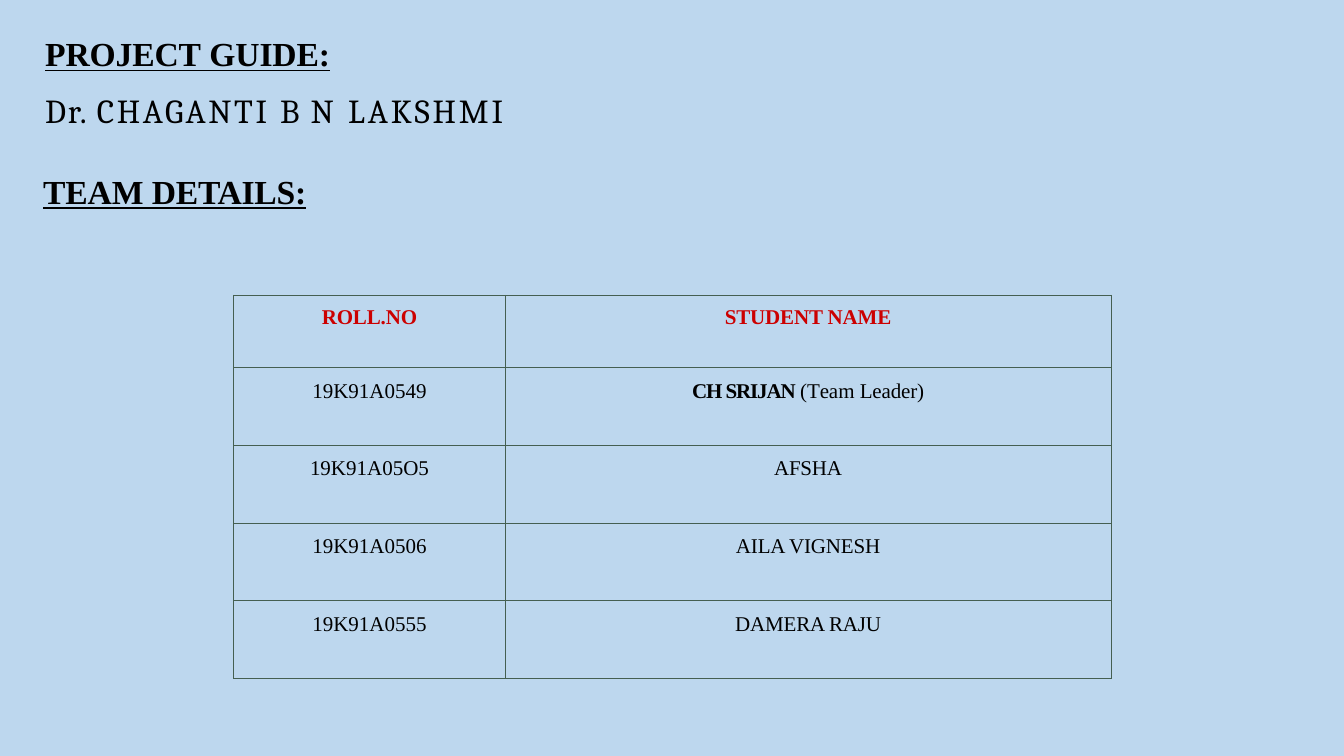
from dataclasses import dataclass

from pptx import Presentation
from pptx.dml.color import RGBColor
from pptx.enum.text import MSO_AUTO_SIZE, PP_ALIGN
from pptx.oxml import parse_xml
from pptx.oxml.ns import nsdecls
from pptx.util import Inches, Pt


@dataclass(frozen=True)
class Theme:
    background: str = "BDD7EE"
    ink: str = "000000"
    header: str = "CC0000"
    border: str = "455F51"
    border_width: float = 0.75
    serif: str = "Times New Roman"
    name_font: str = "Cambria"
    heading_size: int = 24
    table_size: int = 15


THEME = Theme()
SLIDE_COLUMNS, SLIDE_ROWS = 133.3, 75  # grid of tenth-inch cells

GUIDE_NAME = [("Dr. ", 1.3), ("CHAGANTI ", 1.9), ("B ", 1.4), ("N ", 2.4), ("LAKSHMI", 2.1)]
HEADERS = ["ROLL.NO", "STUDENT NAME"]
LEADER = [("(", 0), ("T", -1.1), ("ea", -0.1), ("m", 0), (" Leader)", -0.1)]
TEAM = [
    ("19K91A0549", "CH SRIJAN ", -0.8),
    ("19K91A05O5", "AFSHA", -0.2),
    ("19K91A0506", "AILA VIGNESH", -0.1),
    ("19K91A0555", "DAMERA RAJU", -0.1),
]


def grid(cells):
    return Inches(round(cells / 10, 2))


def add_text(paragraph, text, spacing=0.0, size=THEME.table_size, font=THEME.serif,
             color=THEME.ink, bold=False, underline=False):
    """Append a run; spacing is the letter spacing in points."""
    run = paragraph.add_run()
    run.text = text
    run.font.size = Pt(size)
    run.font.name = font
    run.font.bold = bold
    run.font.underline = underline
    run.font.color.rgb = RGBColor.from_string(color)
    run.font._element.set("spc", str(round(spacing * 100)))


def add_line(paragraph, runs, space_before, indent=0.0, **text_format):
    """Fill a heading paragraph with (text, spacing) runs."""
    paragraph.space_before = Pt(space_before)
    paragraph._p.get_or_add_pPr().set("marL", str(Inches(indent)))
    for text, spacing in runs:
        add_text(paragraph, text, spacing, size=THEME.heading_size, **text_format)


def add_headings(slide):
    box = slide.shapes.add_textbox(grid(3.2), grid(2.8), grid(83.4), grid(19))
    frame = box.text_frame
    frame.word_wrap = True
    frame.auto_size = MSO_AUTO_SIZE.SHAPE_TO_FIT_TEXT
    heading = {"bold": True, "underline": True}
    add_line(frame.paragraphs[0], [("PROJECT", -0.1), (" ", -0.8), ("GUIDE:", -0.1)],
             13, 0.03, **heading)
    add_line(frame.add_paragraph(), GUIDE_NAME, 12, 0.03, font=THEME.name_font)
    add_line(frame.add_paragraph(), [("TEAM", -0.1), (" ", -0.4), ("DETAILS:", -0.2)],
             28.5, 0.01, **heading)


def style_cell(cell, top_gap):
    """Give the cell its borders, fill and margins; return its centred paragraph."""
    properties = cell._tc.get_or_add_tcPr()
    for side in "LRTB":
        properties.append(parse_xml(
            f'<a:ln{side} {nsdecls("a")} w="{Pt(THEME.border_width)}"><a:solidFill>'
            f'<a:srgbClr val="{THEME.border}"/></a:solidFill></a:ln{side}>'))
    cell.fill.solid()
    cell.fill.fore_color.rgb = RGBColor.from_string(THEME.background)
    cell.margin_left = cell.margin_right = cell.margin_bottom = 0
    cell.margin_top = Pt(top_gap)
    paragraph = cell.text_frame.paragraphs[0]
    paragraph.alignment = PP_ALIGN.CENTER
    paragraph.space_before = Pt(top_gap)
    return paragraph


def add_team_table(slide):
    widths = [26.9, 60.1]
    heights = [7.2] + [7.73] * len(TEAM)
    table = slide.shapes.add_table(len(heights), len(widths), grid(23.2), grid(29.3),
                                   grid(sum(widths)), grid(sum(heights))).table
    table.first_row = table.horz_banding = False
    for column, width in zip(table.columns, widths):
        column.width = grid(width)
    for row, height in zip(table.rows, heights):
        row.height = grid(height)

    for column, header in enumerate(HEADERS):
        add_text(style_cell(table.cell(0, column), 7.2), header, -0.1,
                 color=THEME.header, bold=True)
    for row, (roll_number, student, spacing) in enumerate(TEAM, start=1):
        is_leader = row == 1
        add_text(style_cell(table.cell(row, 0), 8.5), roll_number)
        name = style_cell(table.cell(row, 1), 8.5)
        add_text(name, student, spacing, bold=is_leader)
        if is_leader:
            for text, letter_spacing in LEADER:
                add_text(name, text, letter_spacing)


def main():
    presentation = Presentation()
    presentation.slide_width = grid(SLIDE_COLUMNS)
    presentation.slide_height = grid(SLIDE_ROWS)
    slide = presentation.slides.add_slide(presentation.slide_layouts[6])
    slide.background.fill.solid()
    slide.background.fill.fore_color.rgb = RGBColor.from_string(THEME.background)
    add_headings(slide)
    add_team_table(slide)
    presentation.save("out.pptx")


if __name__ == "__main__":
    main()
